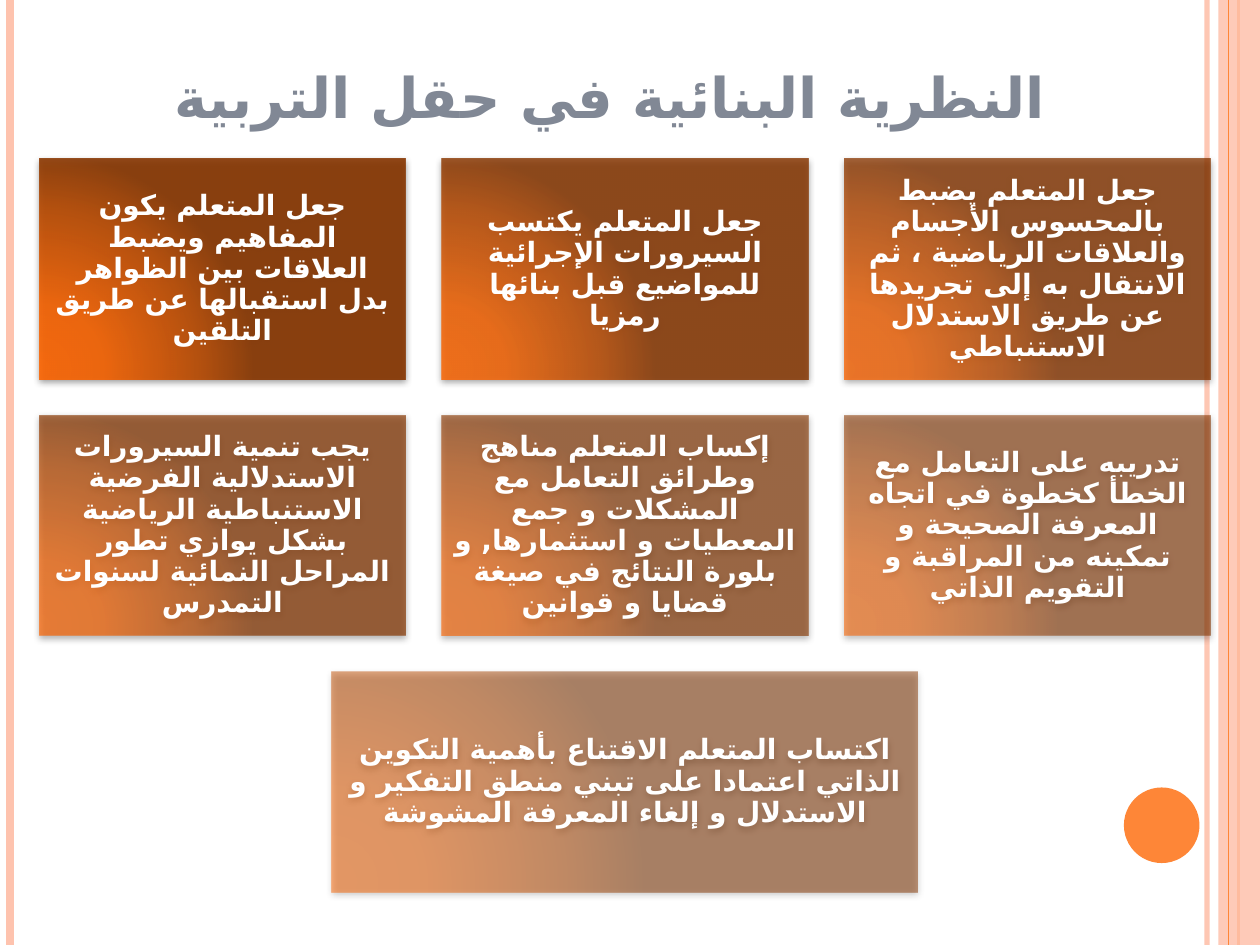
from lxml.etree import SubElement
from pptx import Presentation
from pptx.dml.color import RGBColor
from pptx.enum.shapes import MSO_CONNECTOR, MSO_SHAPE
from pptx.enum.text import MSO_ANCHOR, PP_ALIGN
from pptx.oxml.ns import qn
from pptx.util import Inches, Pt

FONT = "TeX Gyre Schola"
ARABIC_FONT = "DejaVu Sans"
COLORS = {"orange": "FE8637", "peach": "FEC3AE", "title": "818895",
          "text": "FFFFFF", "shadow": "000000"}
GRADIENT = {0: "FD6400", 30: "F46100", 75: "B74900", 100: "873600"}
COLUMNS = 3
LEFT, RIGHT, TOP, WIDTH, HEIGHT = 0.31, 9.61, 1.26, 2.91, 1.75
GAP = (RIGHT - LEFT - COLUMNS * WIDTH) / (COLUMNS - 1)
LAST_WIDTH = 4.65
GOALS = [
    "جعل المتعلم يكون المفاهيم ويضبط العلاقات بين الظواهر بدل استقبالها عن طريق التلقين",
    "جعل المتعلم يكتسب السيرورات الإجرائية للمواضيع قبل بنائها رمزيا",
    "جعل المتعلم يضبط بالمحسوس الأجسام والعلاقات الرياضية ، ثم الانتقال به إلى تجريدها عن طريق الاستدلال الاستنباطي",
    "يجب تنمية السيرورات الاستدلالية الفرضية الاستنباطية الرياضية بشكل يوازي تطور المراحل النمائية لسنوات التمدرس",
    "إكساب المتعلم مناهج وطرائق التعامل مع المشكلات و جمع المعطيات و استثمارها, و بلورة النتائج في صيغة قضايا و قوانين",
    "تدريبه على التعامل مع الخطأ كخطوة في اتجاه المعرفة الصحيحة و تمكينه من المراقبة و التقويم الذاتي",
    "اكتساب المتعلم الاقتناع بأهمية التكوين الذاتي اعتمادا على تبني منطق التفكير و الاستدلال و إلغاء المعرفة المشوشة",
]
RTL_GOAL = 4


def set_alpha(parent, percent):
    """Make the colour inside an XML element partly transparent."""
    for color in parent.iter(qn("a:srgbClr")):
        SubElement(color, qn("a:alpha"), val=str(round(percent * 1000)))


def add_stripe(page, x, color, width, alpha=100):
    """Draw a vertical line over the full height of the page."""
    stripe = page.shapes.add_connector(
        MSO_CONNECTOR.STRAIGHT, Inches(x), 0, Inches(x), Inches(7.5))
    stripe.line.color.rgb = RGBColor.from_string(COLORS[color])
    stripe.line.width = Pt(width)
    properties = stripe._element.spPr
    if alpha < 100:
        set_alpha(properties, alpha)
    SubElement(properties, qn("a:effectLst"))


def add_block(page, kind, area, color):
    """Add a plain filled shape without outline or shadow."""
    block = page.shapes.add_shape(kind, *map(Inches, area))
    block.fill.solid()
    block.fill.fore_color.rgb = RGBColor.from_string(COLORS[color])
    block.line.fill.background()
    block.shadow.inherit = False
    return block


def write_text(box, text, size, color, anchor, rtl=False):
    """Fill a box with one centred bold paragraph."""
    frame = box.text_frame
    frame.word_wrap = True
    frame.vertical_anchor = anchor
    frame.text = text
    para = frame.paragraphs[0]
    para.alignment = PP_ALIGN.CENTER
    if rtl:
        para._p.get_or_add_pPr().set("rtl", "1")
    span = para.runs[0]
    span.font.size = Pt(size)
    span.font.bold = True
    span.font.name = FONT
    span.font.color.rgb = RGBColor.from_string(COLORS[color])
    properties = span._r.get_or_add_rPr()
    properties.set("lang", "ar-MA")
    SubElement(properties, qn("a:cs"), typeface=ARABIC_FONT)
    return para


def add_gradient(box, alpha):
    """Replace the solid fill of a box with the radial orange gradient."""
    solid = box._element.spPr.find(qn("a:solidFill"))
    gradient = solid.makeelement(qn("a:gradFill"), {"rotWithShape": "1"})
    stops = SubElement(gradient, qn("a:gsLst"))
    for position, color in GRADIENT.items():
        stop = SubElement(stops, qn("a:gs"), pos=str(position * 1000))
        SubElement(stop, qn("a:srgbClr"), val=color)
    set_alpha(stops, alpha)
    circle = SubElement(gradient, qn("a:path"), path="circle")
    SubElement(circle, qn("a:fillToRect"), l="5000", t="100000", r="120000", b="10000")
    box._element.spPr.replace(solid, gradient)


def add_shadow(box):
    """Give a box a soft shadow straight below it."""
    effects = box._element.spPr.find(qn("a:effectLst"))
    shadow = SubElement(effects, qn("a:outerShdw"), blurRad=str(Pt(4)),
                        dist=str(Pt(1.6)), dir="5400000", rotWithShape="0")
    SubElement(shadow, qn("a:srgbClr"), val=COLORS["shadow"])
    set_alpha(shadow, 42)


def add_goal(page, index, text):
    """Place one goal in the grid, the last one wide and centred."""
    row, column = divmod(index, COLUMNS)
    left, width = LEFT + column * (WIDTH + GAP), WIDTH
    if index == len(GOALS) - 1:
        left, width = (LEFT + RIGHT - LAST_WIDTH) / 2, LAST_WIDTH
    area = (left, TOP + row * (HEIGHT + GAP), width, HEIGHT)
    box = add_block(page, MSO_SHAPE.RECTANGLE, area, "orange")
    add_gradient(box, 90 - 40 * index / (len(GOALS) - 1))
    add_shadow(box)
    frame = box.text_frame
    frame.margin_left = frame.margin_right = Inches(0.07)
    frame.margin_top = frame.margin_bottom = Inches(0.07)
    para = write_text(box, text, 16, "text", MSO_ANCHOR.MIDDLE, index == RTL_GOAL)
    para.line_spacing = 0.93


def add_decoration(page):
    """Draw the side stripes, the band and the dot."""
    add_stripe(page, 9.58, "peach", 3, 93)
    add_stripe(page, 0.08, "peach", 4.5)
    add_stripe(page, 9.83, "orange", 1.5)
    band = add_block(page, MSO_SHAPE.RECTANGLE, (9.67, 0, 0.33, 7.5), "peach")
    set_alpha(band._element.spPr, 87)
    add_stripe(page, 9.75, "orange", 0.75)
    add_block(page, MSO_SHAPE.OVAL, (8.92, 6.25, 0.6, 0.6), "orange")


def add_title(page):
    """Write the heading above the grid."""
    box = page.shapes.add_textbox(*map(Inches, (0.43, 0.21, 8.83, 0.87)))
    para = write_text(box, "النظرية البنائية في حقل التربية", 32, "title", MSO_ANCHOR.BOTTOM)
    para.runs[0]._r.get_or_add_rPr().set("cap", "small")


def main():
    """Build the slide and save it."""
    deck = Presentation()
    deck.slide_width, deck.slide_height = Inches(10), Inches(7.5)
    page = deck.slides.add_slide(deck.slide_layouts[6])
    add_decoration(page)
    add_title(page)
    for index, text in enumerate(GOALS):
        add_goal(page, index, text)
    deck.save("out.pptx")


if __name__ == "__main__":
    main()
